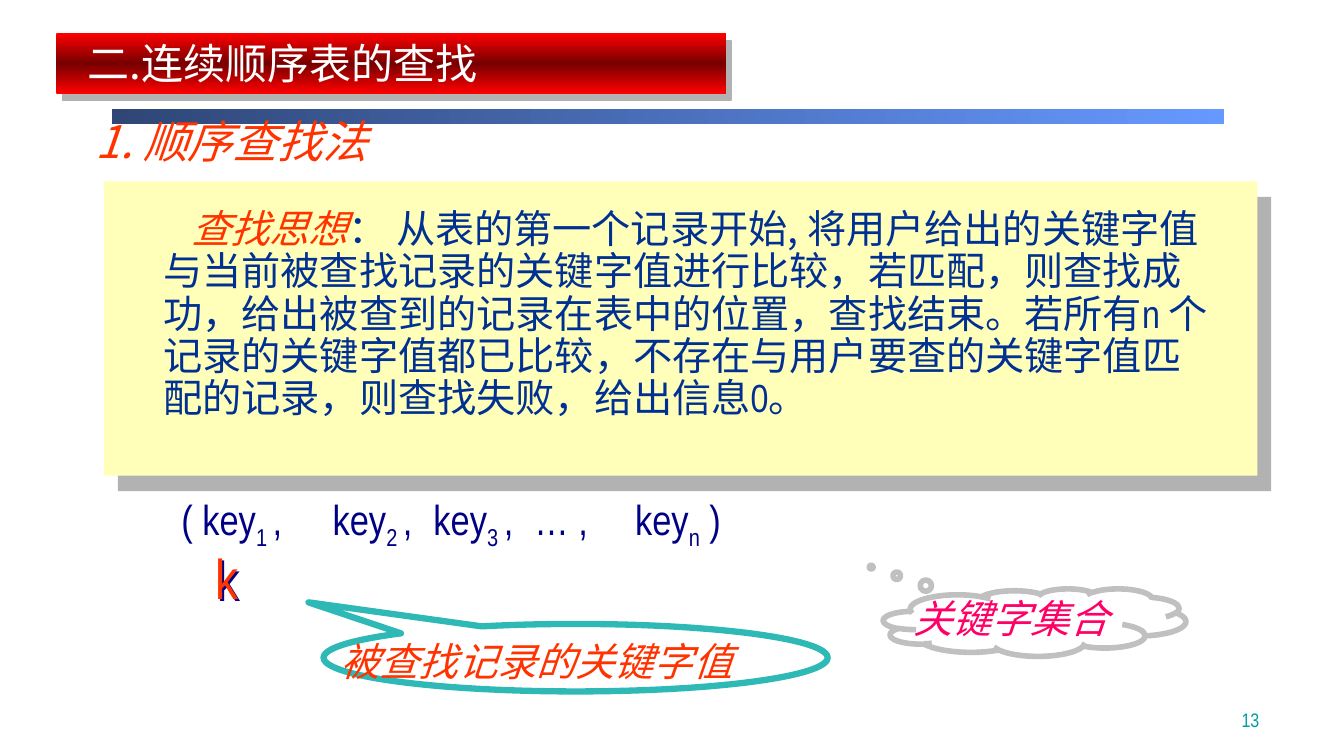
import dataclasses

import lxml.etree
import pptx
import pptx.dml.color
import pptx.enum.shapes
import pptx.enum.text
import pptx.oxml.ns
import pptx.util

KIND = pptx.enum.shapes.MSO_SHAPE
ALIGN = pptx.enum.text.PP_ALIGN
ANCHOR = pptx.enum.text.MSO_ANCHOR
FIT = pptx.enum.text.MSO_AUTO_SIZE
qn = pptx.oxml.ns.qn


@dataclasses.dataclass(frozen=True)
class Theme:
    wide: float = 13.33
    high: float = 7.5
    sans: str = "Noto Sans CJK SC"
    slim: str = "Arial Narrow"
    # Colours
    white: str = "FFFFFF"
    red: str = "FF3300"
    blue: str = "003192"
    navy: str = "000084"
    pink: str = "FF0066"
    teal: str = "2EB9B6"
    green: str = "009EA1"
    gray: str = "C0C0C0"
    shade: str = "B2B2B2"
    cream: str = "FFFFB9"
    rule: tuple = ((0, "2F4676"), (100, "6699FF"))
    glow: tuple = ((0, "FF0000"), (50, "760000"), (100, "FF0000"))
    # Type sizes
    small: int = 14
    text: int = 28
    title: int = 30
    head: int = 32
    large: int = 40


def add(node, tag, **attrs):
    return lxml.etree.SubElement(node, qn(tag), **attrs)


class Deck:
    """Places elements by percentages of the slide's width and height."""

    def __init__(self, theme):
        self.theme = theme
        self.file = pptx.Presentation()
        self.file.slide_width = pptx.util.Inches(theme.wide)
        self.file.slide_height = pptx.util.Inches(theme.high)
        self.slide = self.file.slides.add_slide(self.file.slide_layouts[1])

    def box(self, left, top, wide, high):
        across = self.file.slide_width / 100
        down = self.file.slide_height / 100
        return [int(left * across), int(top * down), int(wide * across), int(high * down)]

    def cast(self, shape, color, gap, angle):
        shape.shadow.inherit = False
        effect = shape._element.spPr.find(qn("a:effectLst"))
        drop = add(effect, "a:outerShdw", blurRad="0", dist=str(pptx.util.Pt(gap)),
                   dir=str(angle * 60000), algn="ctr", rotWithShape="0")
        add(drop, "a:srgbClr", val=color)

    def shape(self, at, kind=KIND.RECTANGLE, fill=None, turn=0, line=None, drop=None, tail=()):
        shape = self.slide.shapes.add_shape(kind, *self.box(*at))
        shape.shadow.inherit = False
        if fill is None:
            shape.fill.background()
        elif isinstance(fill, str):
            shape.fill.solid()
            shape.fill.fore_color.rgb = pptx.dml.color.RGBColor.from_string(fill)
        else:
            shape.fill.gradient()
            shape.fill.gradient_angle = turn
            stops = shape._element.spPr.find(qn("a:gradFill")).find(qn("a:gsLst"))
            stops.clear()
            for place, color in fill:
                stop = add(stops, "a:gs", pos=str(place * 1000))
                add(stop, "a:srgbClr", val=color)
        if line:
            color, width = line
            shape.line.color.rgb = pptx.dml.color.RGBColor.from_string(color)
            shape.line.width = pptx.util.Pt(width)
        else:
            shape.line.fill.background()
        for index, value in enumerate(tail):
            shape.adjustments[index] = value
        if drop:
            self.cast(shape, *drop)

    def holder(self, index, at, parts, **style):
        shape = self.slide.placeholders[index]
        shape.left, shape.top, shape.width, shape.height = self.box(*at)
        self.slide.shapes._spTree.append(shape._element)
        self.words(shape, parts, **style)

    def label(self, at, parts, **style):
        shape = self.slide.shapes.add_textbox(*self.box(*at))
        self.words(shape, parts, **style)
        return shape

    def words(self, shape, parts, size, color, font=None, slant=False, wrap=True,
              align=ALIGN.LEFT, anchor=ANCHOR.TOP, space=None, indent=0, inset=0.1, tabs=()):
        frame = shape.text_frame
        frame.word_wrap = wrap
        frame.auto_size = FIT.NONE
        frame.vertical_anchor = anchor
        frame.margin_left = pptx.util.Inches(inset)
        para = frame.paragraphs[0]
        para.alignment = align
        para.space_before = pptx.util.Pt(0)
        if space:
            para.line_spacing = space
        prop = para._p.get_or_add_pPr()
        prop.set("marL", "0")
        prop.set("indent", str(pptx.util.Inches(indent)))
        add(prop, "a:buNone")
        if tabs:
            stops = add(prop, "a:tabLst")
            for stop in tabs:
                add(stops, "a:tab", pos=str(pptx.util.Inches(stop)), algn="l")
        if isinstance(parts, str):
            parts = [(parts, {})]
        base = dict(size=size, color=color, font=font or self.theme.sans, slant=slant, sub=False)
        for text, change in parts:
            run = para.add_run()
            run.text = text
            self.style(run, **{**base, **change})

    def style(self, run, size, color, font, slant, sub):
        run.font.size = pptx.util.Pt(size)
        run.font.color.rgb = pptx.dml.color.RGBColor.from_string(color)
        run.font.italic = slant
        run.font.bold = False
        run.font.name = font
        prop = run._r.get_or_add_rPr()
        add(prop, "a:ea", typeface=self.theme.sans)
        if sub:
            prop.set("baseline", "-25000")


def main():
    look = Theme()
    deck = Deck(look)

    # Rule under the title
    deck.shape((8.33, 14.4, 82.75, 2), fill=look.rule)

    # Search idea panel
    slim = dict(font=look.slim)
    deck.shape((7.73, 24, 85.82, 38.93), fill=look.cream, drop=(look.shade, 14.9, 48))
    deck.holder(1, (11.4, 27.07, 79.97, 29.6), [
        ("查找思想", dict(color=look.red, slant=True)),
        ("： 从表的第一个记录开始, 将用户给出的关键字值与当前被查找记录的关键字值进行比较，"
         "若匹配，则查找成功，给出被查到的记录在表中的位置，查找结束。若所有", {}),
        ("n ", slim),
        ("个记录的关键字值都已比较，不存在与用户要查的关键字值匹配的记录，"
         "则查找失败，给出信息", {}),
        ("0", slim),
        ("。", {}),
    ], size=look.text, color=look.blue, space=0.9, indent=0.28)

    # Heading and title banner
    deck.label((6.38, 14.4, 36.16, 8.4), "1. 顺序查找法",
               size=look.head, color=look.red, slant=True)
    deck.shape((4.2, 4.4, 49.81, 8), fill=look.glow, turn=90, drop=(look.shade, 6.4, 51))
    deck.holder(0, (5.78, 4.27, 53.11, 8), "二.连续顺序表的查找",
                size=look.title, color=look.white)

    # Key set
    sub = dict(sub=True)
    keys = [("( key", {})]
    for mark, link in (("1 ", ",\tkey"), ("2 ", ",\tkey"), ("3 ", ",\t… ,\tkey"), ("n", " )")):
        keys += [(mark, sub), (link, {})]
    deck.label((11.4, 64.67, 71.34, 8), keys, size=look.title, color=look.navy,
               font=look.slim, inset=0.28, tabs=(1.29, 2.37, 3.45, 4.16))
    deck.shape((65.72, 77.87, 22.51, 8.93), KIND.CLOUD_CALLOUT, line=(look.gray, 4),
               drop=(look.white, 5.1, 11), tail=(-0.54, -0.82))
    deck.label((67.22, 79.6, 21.16, 5.73), "关键字集合", size=look.text,
               color=look.pink, font=look.slim, slant=True, space=0.7)

    # Searched key
    key = deck.label((15.3, 71.2, 3.23, 10.27), "k", size=look.large,
                     color=look.red, font=look.slim, wrap=False)
    deck.cast(key, look.navy, 2, 45)
    deck.shape((24.08, 82.53, 37.51, 8.93), KIND.OVAL_CALLOUT, line=(look.teal, 4.5),
               tail=(-0.53, -0.82))
    deck.label((24.61, 83.6, 38.03, 7.6), "被查找记录的关键字值", size=look.text,
               color=look.red, font=look.slim, slant=True)

    # Slide number
    deck.label((73.59, 90.8, 20.86, 6.67), "13", size=look.small, color=look.green,
               font=look.slim, align=ALIGN.RIGHT, anchor=ANCHOR.BOTTOM)

    deck.file.save("out.pptx")


if __name__ == "__main__":
    main()
